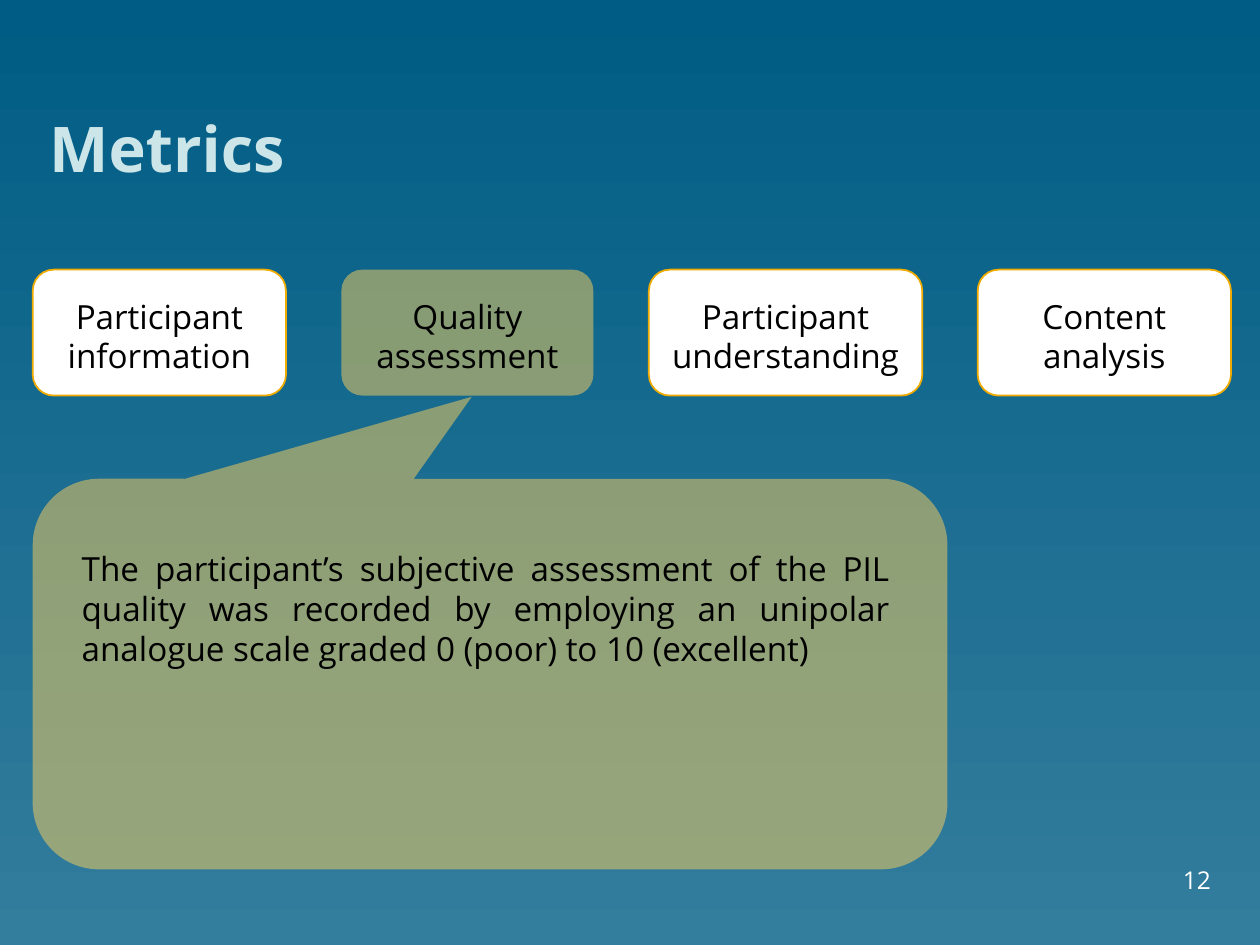
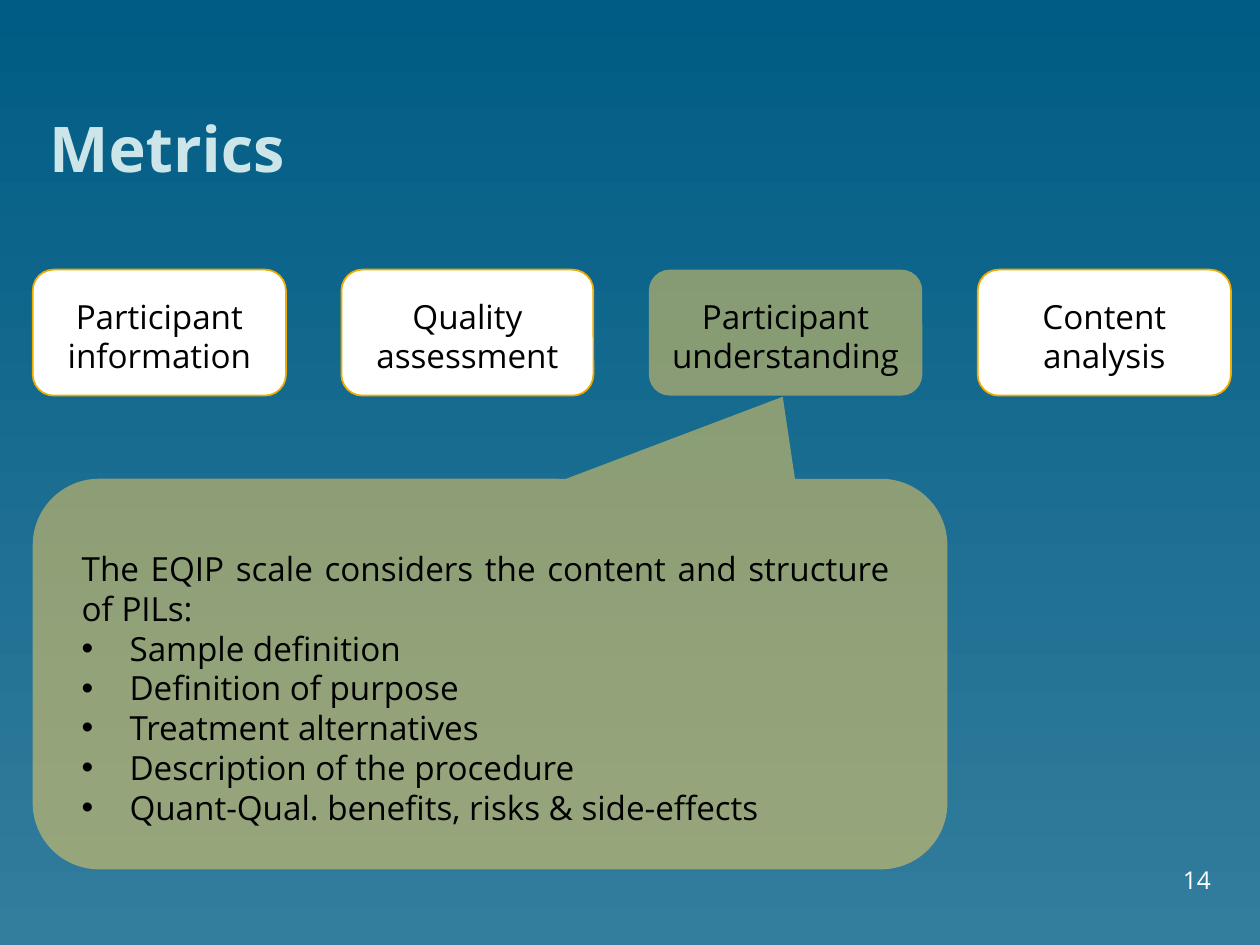
from dataclasses import dataclass

from pptx import Presentation
from pptx import util as u
from pptx.dml.color import RGBColor
from pptx.enum import shapes, text
from pptx.oxml.ns import qn
from lxml import etree

PX = 9144
SLIDE_SIZE = (1000, 750)


@dataclass(frozen=True)
class Theme:
    """Colours and type sizes shared by every slide."""
    font: str = "Open Sans"
    sky_top: str = "005C84"
    sky_bottom: str = "337D9D"
    title: str = "CCE5E9"
    white: str = "FFFFFF"
    ink: str = "000000"
    outline: str = "F0AB00"
    highlight: str = "FFD05D"
    highlight_alpha: int = 50
    title_size: int = 36
    body_size: int = 19
    number_size: int = 14


ALIGN = text.PP_ALIGN
ANCHOR = text.MSO_ANCHOR
SHAPE = shapes.MSO_SHAPE

METRICS = [
    ("Participant information", 201),
    ("Quality assessment", 200),
    ("Participant understanding", 217),
    ("Content analysis", 201),
]
METRIC_LEFT, METRIC_TOP, METRIC_HEIGHT, METRIC_GAP = 26, 214, 100, 44
BULLET_INDENT = 38

SLIDES = [
    {
        "number": "12",
        "active": "Quality assessment",
        "pointer": (-0.02, -0.71),
        "height": 138,
        "intro": "The participant’s subjective assessment of the PIL quality was "
                 "recorded by employing an unipolar analogue scale graded "
                 "0 (poor) to 10 (excellent)",
        "bullets": [],
    },
    {
        "number": "14",
        "active": "Participant understanding",
        "pointer": (0.32, -0.71),
        "height": 298,
        "intro": "The EQIP scale considers the content and structure of PILs:",
        "bullets": [
            "Sample definition",
            "Definition of purpose",
            "Treatment alternatives",
            "Description of the procedure",
            "Quant-Qual. benefits, risks & side-effects",
        ],
    },
]


def apply(target, values):
    """Set each attribute named in values."""
    for name, value in values.items():
        setattr(target, name, value)


class Deck:
    """Holds the theme and the current slide, and draws each kind of element."""

    def __init__(self, presentation, theme):
        """Set the slide size and the shared background."""
        self.presentation = presentation
        self.theme = theme
        self.slide = None
        width, height = SLIDE_SIZE
        apply(presentation, {"slide_width": width * PX, "slide_height": height * PX})
        fill = presentation.slide_master.background.fill
        fill.gradient()
        fill.gradient_angle = 270
        for stop, colour in zip(fill.gradient_stops, (theme.sky_top, theme.sky_bottom)):
            stop.color.rgb = RGBColor.from_string(colour)

    def add_slide(self):
        """Start a new blank slide."""
        self.slide = self.presentation.slides.add_slide(self.presentation.slide_layouts[6])

    def set_text(self, shape, lines, size, colour, align, anchor, insets, bold=False):
        """Fill a shape with styled paragraphs and return them."""
        frame = shape.text_frame
        margins = ("margin_left", "margin_top", "margin_right", "margin_bottom")
        apply(frame, {"word_wrap": True, "vertical_anchor": anchor})
        apply(frame, {name: inset * PX for name, inset in zip(margins, insets)})
        frame.text = "\n".join(lines)
        for paragraph in frame.paragraphs:
            paragraph.alignment = align
            for run in paragraph.runs:
                apply(run.font, {"name": self.theme.font, "size": u.Pt(size), "bold": bold})
                run.font.color.rgb = RGBColor.from_string(colour)
        return frame.paragraphs

    def text_box(self, box, lines, size, colour, align=ALIGN.LEFT,
                 anchor=ANCHOR.BOTTOM, insets=(0, 0, 0, 0), bold=False):
        """Add a text box and return its paragraphs."""
        shape = self.slide.shapes.add_textbox(*(length * PX for length in box))
        return self.set_text(shape, lines, size, colour, align, anchor, insets, bold)

    def panel(self, kind, box, highlighted):
        """Add a highlighted translucent or an outlined white shape."""
        theme = self.theme
        shape = self.slide.shapes.add_shape(kind, *(length * PX for length in box))
        shape.shadow.inherit = False
        shape.fill.solid()
        colour = shape.fill.fore_color
        colour.rgb = RGBColor.from_string(theme.highlight if highlighted else theme.white)
        if highlighted:
            shape.line.fill.background()
            solid = shape.element.spPr.find(qn("a:solidFill"))
            etree.SubElement(solid[0], qn("a:alpha"), val=str(theme.highlight_alpha * 1000))
        else:
            shape.line.color.rgb = RGBColor.from_string(theme.outline)
            shape.line.width = u.Pt(1)
        return shape

    def title(self, words):
        """Add the slide title."""
        self.text_box((39, 0, 922, 147), [words], self.theme.title_size,
                      self.theme.title, bold=True)

    def page_number(self, number):
        """Add the page number at the lower right."""
        self.text_box((752, 690, 209, 20), [number], self.theme.number_size,
                      self.theme.white, ALIGN.RIGHT)

    def metric_row(self, active):
        """Add the row of metrics with the active one highlighted."""
        left = METRIC_LEFT
        for label, width in METRICS:
            shape = self.panel(SHAPE.ROUNDED_RECTANGLE,
                               (left, METRIC_TOP, width, METRIC_HEIGHT), label == active)
            self.set_text(shape, [label], self.theme.body_size, self.theme.ink,
                          ALIGN.CENTER, ANCHOR.MIDDLE, (10, 5, 10, 0))
            left += width + METRIC_GAP

    def callout(self, pointer):
        """Add the callout whose tip points at the active metric."""
        shape = self.panel(SHAPE.ROUNDED_RECTANGULAR_CALLOUT, (26, 380, 726, 310), True)
        for index, value in enumerate((*pointer, 0.17)):
            shape.adjustments[index] = value

    def explanation(self, intro, bullets, height):
        """Add the justified explanation with its bullet list."""
        paragraphs = self.text_box((55, 430, 661, height), [intro, *bullets],
                                   self.theme.body_size, self.theme.ink,
                                   ALIGN.JUSTIFY, ANCHOR.TOP, (10, 5, 10, 5))
        for paragraph in paragraphs[1:]:
            properties = paragraph._p.get_or_add_pPr()
            properties.set("marL", str(BULLET_INDENT * PX))
            properties.set("indent", str(-BULLET_INDENT * PX))
            etree.SubElement(properties, qn("a:buFont"), typeface="Arial")
            etree.SubElement(properties, qn("a:buChar"), char="•")


def main():
    """Build and save the presentation."""
    presentation = Presentation()
    deck = Deck(presentation, Theme())
    for content in SLIDES:
        deck.add_slide()
        deck.title("Metrics")
        deck.page_number(content["number"])
        deck.metric_row(content["active"])
        deck.callout(content["pointer"])
        deck.explanation(content["intro"], content["bullets"], content["height"])
    presentation.save("out.pptx")


if __name__ == "__main__":
    main()
